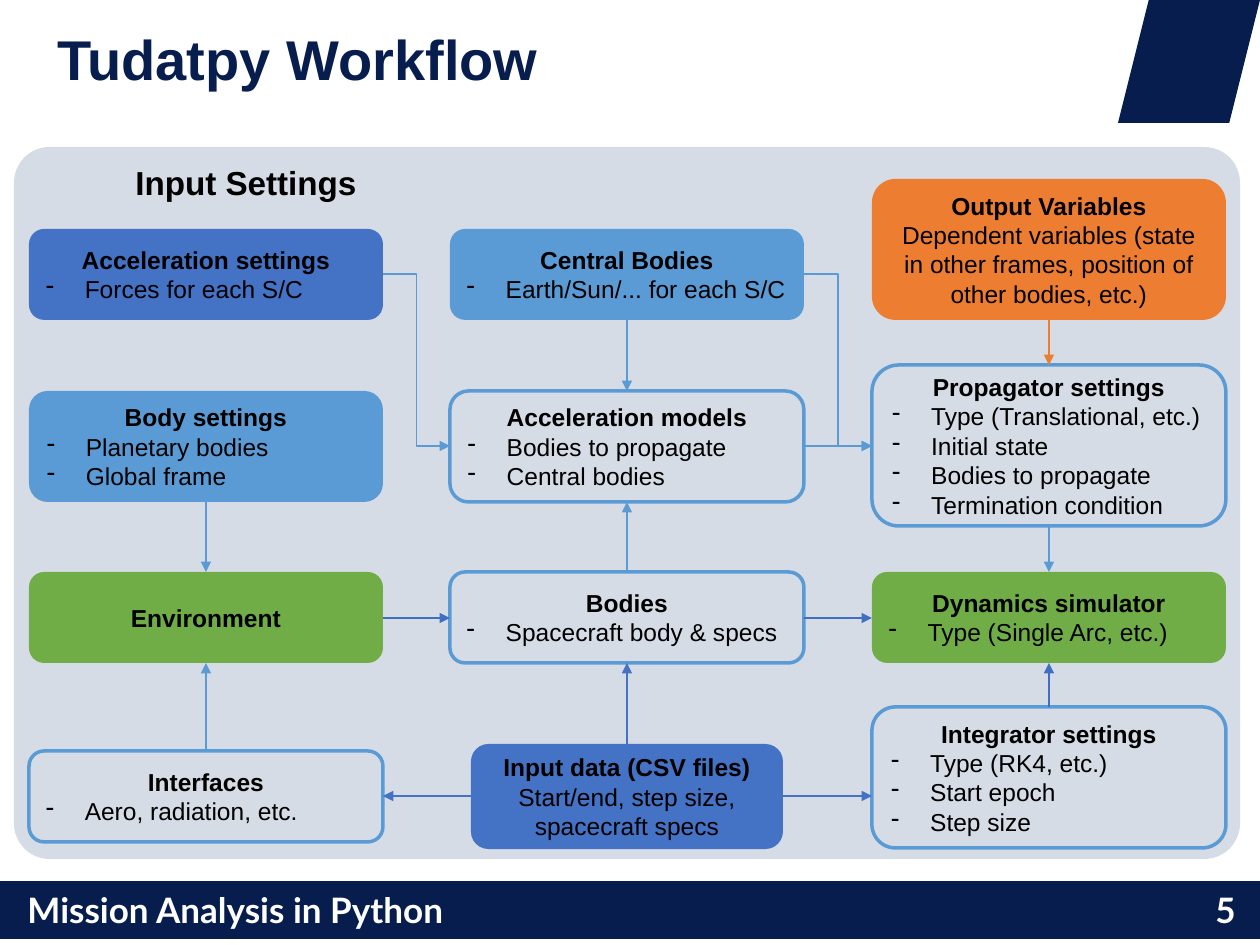
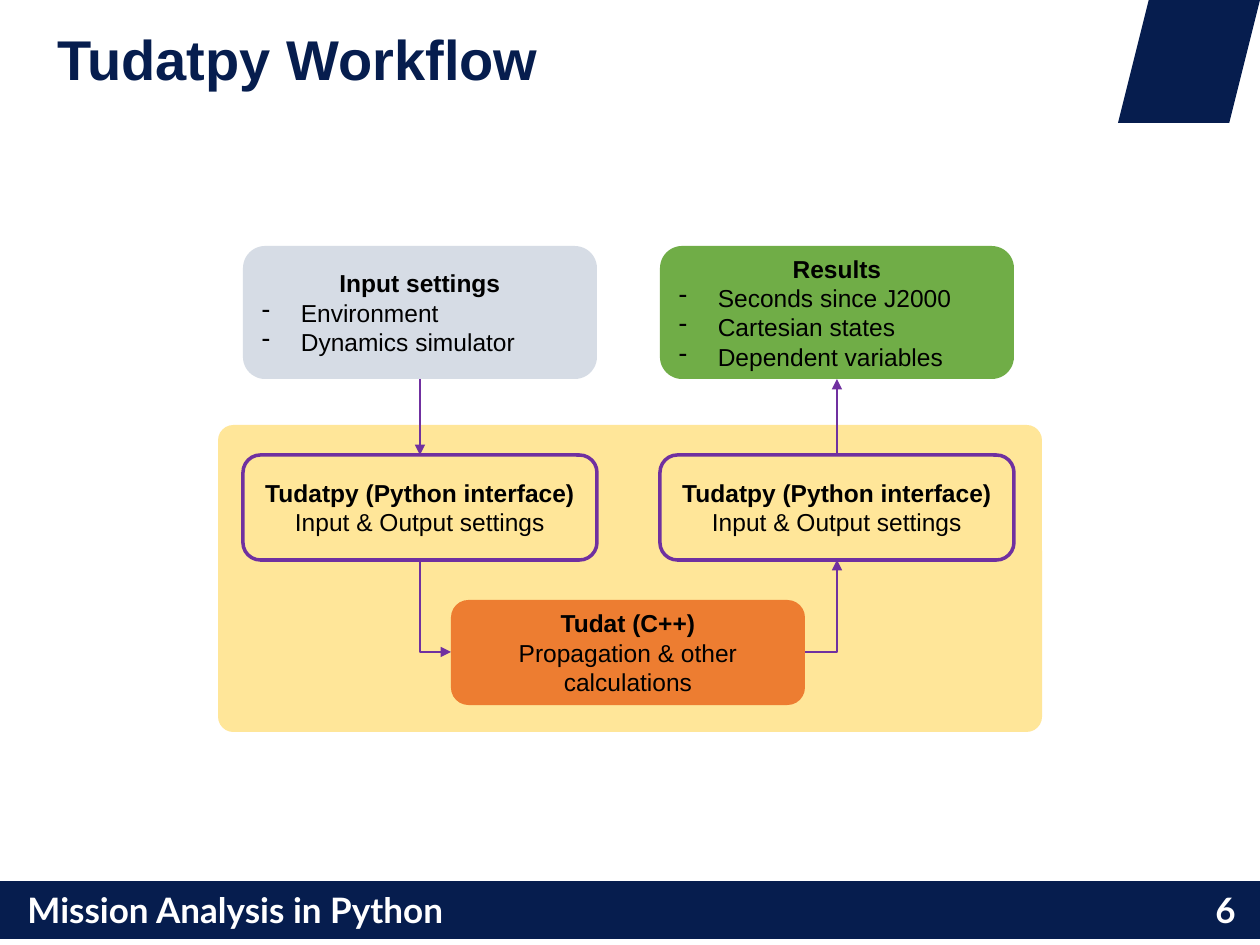
from dataclasses import dataclass
from enum import Enum

import lxml.etree
import pptx
import pptx.dml.color
import pptx.dml.fill
import pptx.enum.shapes
import pptx.enum.text
import pptx.oxml.ns
import pptx.presentation
import pptx.shapes.autoshape
import pptx.slide
import pptx.text.text
import pptx.util

EMU_PER_PX = 914400 / 126
SLIDE_WIDTH, SLIDE_HEIGHT = 1260, 945
NAVY, WHITE, BLACK = "061D4E", "FFFFFF", "000000"
BLUE, SKY, GREEN, ORANGE = "4472C4", "5B9BD5", "70AD47", "ED7D31"
DEEP_BLUE, PURPLE, GREY, YELLOW = "3F6FC3", "7030A0", "D6DCE5", "FFE699"
BOX_WIDTH = 354
INDENT = 39

Preset = pptx.enum.shapes.MSO_SHAPE
Align = pptx.enum.text.PP_ALIGN
qn = pptx.oxml.ns.qn


class Side(Enum):
    """Middle of a box edge, as fractions of its width and height."""
    TOP = (0.5, 0)
    LEFT = (0, 0.5)
    BOTTOM = (0.5, 1)
    RIGHT = (1, 0.5)


class Route(Enum):
    STRAIGHT = "line"
    STEP = "bentConnector3"
    CORNER = "bentConnector2"


@dataclass(frozen=True)
class Area:
    left: int
    top: int
    width: int
    height: int

    def emu(self) -> list[int]:
        return [px(n) for n in (self.left, self.top, self.width, self.height)]

    def middle_of(self, side: Side) -> tuple[int, int]:
        across, down = side.value
        return (round(self.left + across * self.width),
                round(self.top + down * self.height))


@dataclass(frozen=True)
class Step:
    heading: str
    details: tuple[str, ...]
    area: Area
    fill: str | None = None
    outline: str | None = None
    bulleted: bool = True


@dataclass(frozen=True)
class Flow:
    source: Step
    leaving: Side
    target: Step
    entering: Side
    color: str
    route: Route = Route.STRAIGHT
    arrow: str = "tailEnd"


@dataclass(frozen=True)
class TextStyle:
    size: int
    color: str
    font: str = "Arial"
    bold: bool = True
    align: Align = Align.LEFT


TITLE = TextStyle(32, NAVY)
FOOTER = TextStyle(20, WHITE, "Lato")
PAGE_NUMBER = TextStyle(20, WHITE, "Lato", align=Align.RIGHT)
PANEL_HEADING = TextStyle(19, BLACK, align=Align.CENTER)
STEP_HEADING = TextStyle(14, BLACK, align=Align.CENTER)
STEP_DETAIL = TextStyle(14, BLACK, bold=False, align=Align.CENTER)
STEP_BULLET = TextStyle(14, BLACK, bold=False)


def px(length: int) -> int:
    return round(length * EMU_PER_PX)


def paint(fill: pptx.dml.fill.FillFormat, color: str | None) -> None:
    """Fill with a hex colour, or with nothing."""
    if color is None:
        fill.background()
    else:
        fill.solid()
        fill.fore_color.rgb = pptx.dml.color.RGBColor.from_string(color)


def style_paragraph(paragraph: pptx.text.text._Paragraph, style: TextStyle) -> None:
    paragraph.alignment = style.align
    for run in paragraph.runs:
        run.font.name = style.font
        run.font.size = pptx.util.Pt(style.size)
        run.font.bold = style.bold
        paint(run.font.fill, style.color)


def add_dash(paragraph: pptx.text.text._Paragraph) -> None:
    properties = paragraph._p.get_or_add_pPr()
    properties.set("marL", str(px(INDENT)))
    properties.set("indent", str(-px(INDENT)))
    color = lxml.etree.SubElement(properties, qn("a:buClr"))
    lxml.etree.SubElement(color, qn("a:srgbClr"), val=BLACK)
    lxml.etree.SubElement(properties, qn("a:buChar"), char="-")


def add_label(slide: pptx.slide.Slide, text: str, area: Area, style: TextStyle,
              padding: int = 6) -> None:
    frame = slide.shapes.add_textbox(*area.emu()).text_frame
    frame.word_wrap = True
    frame.margin_top = frame.margin_bottom = px(padding)
    frame.text = text
    style_paragraph(frame.paragraphs[0], style)


def add_block(slide: pptx.slide.Slide, preset: Preset, area: Area, fill: str | None,
              outline: str | None = None,
              rounding: float | None = None) -> pptx.shapes.autoshape.Shape:
    block = slide.shapes.add_shape(preset, *area.emu())
    block.shadow.inherit = False
    paint(block.fill, fill)
    paint(block.line.fill, outline)
    if outline:
        block.line.width = pptx.util.Pt(2)
    if rounding is not None:
        block.adjustments[0] = rounding
    return block


def add_step(slide: pptx.slide.Slide, step: Step) -> None:
    block = add_block(slide, Preset.ROUNDED_RECTANGLE, step.area, step.fill, step.outline)
    frame = block.text_frame
    frame.word_wrap = True
    frame.vertical_anchor = pptx.enum.text.MSO_ANCHOR.MIDDLE
    frame.text = step.heading
    style_paragraph(frame.paragraphs[0], STEP_HEADING)
    for detail in step.details:
        paragraph = frame.add_paragraph()
        paragraph.text = detail
        if step.bulleted:
            add_dash(paragraph)
        style_paragraph(paragraph, STEP_BULLET if step.bulleted else STEP_DETAIL)


def add_flow(slide: pptx.slide.Slide, flow: Flow) -> None:
    """Draw an arrow between two steps; a straight one stays level or upright."""
    start_x, start_y = flow.source.area.middle_of(flow.leaving)
    end_x, end_y = flow.target.area.middle_of(flow.entering)
    if flow.route is Route.STRAIGHT:
        if flow.leaving in (Side.LEFT, Side.RIGHT):
            end_y = start_y
        else:
            end_x = start_x
    kinds = pptx.enum.shapes.MSO_CONNECTOR
    kind = kinds.STRAIGHT if flow.route is Route.STRAIGHT else kinds.ELBOW
    connector = slide.shapes.add_connector(
        kind, px(start_x), px(start_y), px(end_x), px(end_y))
    paint(connector.line.fill, flow.color)
    connector.line.width = pptx.util.Pt(1)
    properties = connector._element.spPr
    properties.find(qn("a:prstGeom")).set("prst", flow.route.value)
    lxml.etree.SubElement(properties.find(qn("a:ln")), qn(f"a:{flow.arrow}"),
                          type="triangle")
    lxml.etree.SubElement(properties, qn("a:effectLst"))


def add_workflow_slide(deck: pptx.presentation.Presentation, page: int, panel: Area,
                       panel_fill: str, steps: list[Step],
                       flows: list[Flow]) -> pptx.slide.Slide:
    slide = deck.slides.add_slide(deck.slide_layouts[6])
    add_block(slide, Preset.ROUNDED_RECTANGLE, panel, panel_fill, rounding=0.05)
    add_block(slide, Preset.RECTANGLE, Area(0, 881, SLIDE_WIDTH, 58), NAVY)
    add_label(slide, "Mission Analysis in Python", Area(15, 882, 491, 55), FOOTER)
    add_label(slide, "Tudatpy Workflow", Area(45, 18, 614, 81), TITLE)
    add_block(slide, Preset.PARALLELOGRAM, Area(1118, 0, 142, 123), NAVY, rounding=0.25)
    add_label(slide, str(page), Area(1188, 882, 60, 55), PAGE_NUMBER)
    for step in steps:
        add_step(slide, step)
    for flow in flows:
        add_flow(slide, flow)
    return slide


def add_settings_slide(deck: pptx.presentation.Presentation) -> None:
    columns = (29, 450, 872)

    def cell(column: int, top: int, height: int = 91) -> Area:
        return Area(columns[column], top, BOX_WIDTH, height)

    forces = Step("Acceleration settings", ("Forces for each S/C",), cell(0, 229), BLUE)
    body = Step("Body settings", ("Planetary bodies", "Global frame"),
                cell(0, 391, 111), SKY)
    environment = Step("Environment", (), cell(0, 572), GREEN)
    interfaces = Step("Interfaces", ("Aero, radiation, etc.",), cell(0, 751), outline=SKY)
    central = Step("Central Bodies", ("Earth/Sun/... for each S/C",), cell(1, 229), SKY)
    models = Step("Acceleration models", ("Bodies to propagate", "Central bodies"),
                  cell(1, 391, 111), outline=SKY)
    bodies = Step("Bodies", ("Spacecraft body & specs",), cell(1, 572), outline=SKY)
    data = Step("Input data (CSV files)", ("Start/end, step size, spacecraft specs",),
                Area(471, 744, 312, 105), BLUE, bulleted=False)
    output = Step("Output Variables",
                  ("Dependent variables (state in other frames, "
                   "position of other bodies, etc.)",),
                  cell(2, 179, 141), ORANGE, bulleted=False)
    propagator = Step("Propagator settings",
                      ("Type (Translational, etc.)", "Initial state",
                       "Bodies to propagate", "Termination condition"),
                      cell(2, 365, 161), outline=SKY)
    simulator = Step("Dynamics simulator", ("Type (Single Arc, etc.)",),
                     cell(2, 572), GREEN)
    integrator = Step("Integrator settings",
                      ("Type (RK4, etc.)", "Start epoch", "Step size"),
                      cell(2, 707, 141), outline=SKY)

    steps = [data, integrator, output, simulator, propagator, central, body, bodies,
             interfaces, environment, models, forces]
    flows = [
        Flow(forces, Side.RIGHT, models, Side.LEFT, SKY, Route.STEP),
        Flow(output, Side.BOTTOM, propagator, Side.TOP, ORANGE),
        Flow(body, Side.BOTTOM, environment, Side.TOP, SKY),
        Flow(central, Side.RIGHT, propagator, Side.LEFT, SKY, Route.STEP),
        Flow(environment, Side.RIGHT, bodies, Side.LEFT, DEEP_BLUE),
        Flow(bodies, Side.RIGHT, simulator, Side.LEFT, DEEP_BLUE),
        Flow(integrator, Side.TOP, simulator, Side.BOTTOM, DEEP_BLUE),
        Flow(data, Side.LEFT, interfaces, Side.RIGHT, BLUE),
        Flow(data, Side.RIGHT, integrator, Side.LEFT, BLUE),
        Flow(interfaces, Side.TOP, environment, Side.BOTTOM, SKY),
        Flow(propagator, Side.BOTTOM, simulator, Side.TOP, SKY),
        Flow(data, Side.TOP, bodies, Side.BOTTOM, BLUE),
        Flow(models, Side.RIGHT, propagator, Side.LEFT, SKY),
        Flow(bodies, Side.TOP, models, Side.BOTTOM, SKY),
        Flow(central, Side.BOTTOM, models, Side.TOP, SKY),
    ]
    slide = add_workflow_slide(deck, 5, Area(14, 147, 1226, 712), GREY, steps, flows)
    add_label(slide, "Input Settings", Area(19, 149, 454, 66), PANEL_HEADING, padding=13)


def add_interface_slide(deck: pptx.presentation.Presentation) -> None:
    left, right = 243, 660
    settings = Step("Input settings", ("Environment", "Dynamics simulator"),
                    Area(left, 246, BOX_WIDTH, 133), GREY)
    results = Step("Results",
                   ("Seconds since J2000", "Cartesian states", "Dependent variables"),
                   Area(right, 246, BOX_WIDTH, 133), GREEN)
    entry, exit_ = (
        Step("Tudatpy (Python interface)", ("Input & Output settings",),
             Area(x, 455, BOX_WIDTH, 105), outline=PURPLE, bulleted=False)
        for x in (left, right))
    core = Step("Tudat (C++)", ("Propagation & other calculations",),
                Area(451, 600, BOX_WIDTH, 105), ORANGE, bulleted=False)
    flows = [
        Flow(core, Side.LEFT, entry, Side.BOTTOM, PURPLE, Route.CORNER, "headEnd"),
        Flow(core, Side.RIGHT, exit_, Side.BOTTOM, PURPLE, Route.CORNER),
        Flow(settings, Side.BOTTOM, entry, Side.TOP, PURPLE),
        Flow(exit_, Side.TOP, results, Side.BOTTOM, PURPLE),
    ]
    add_workflow_slide(deck, 6, Area(218, 425, 824, 307), YELLOW,
                       [core, entry, exit_, results, settings], flows)


def main() -> None:
    deck = pptx.Presentation()
    deck.slide_width = px(SLIDE_WIDTH)
    deck.slide_height = px(SLIDE_HEIGHT)
    add_settings_slide(deck)
    add_interface_slide(deck)
    deck.save("out.pptx")


if __name__ == "__main__":
    main()
